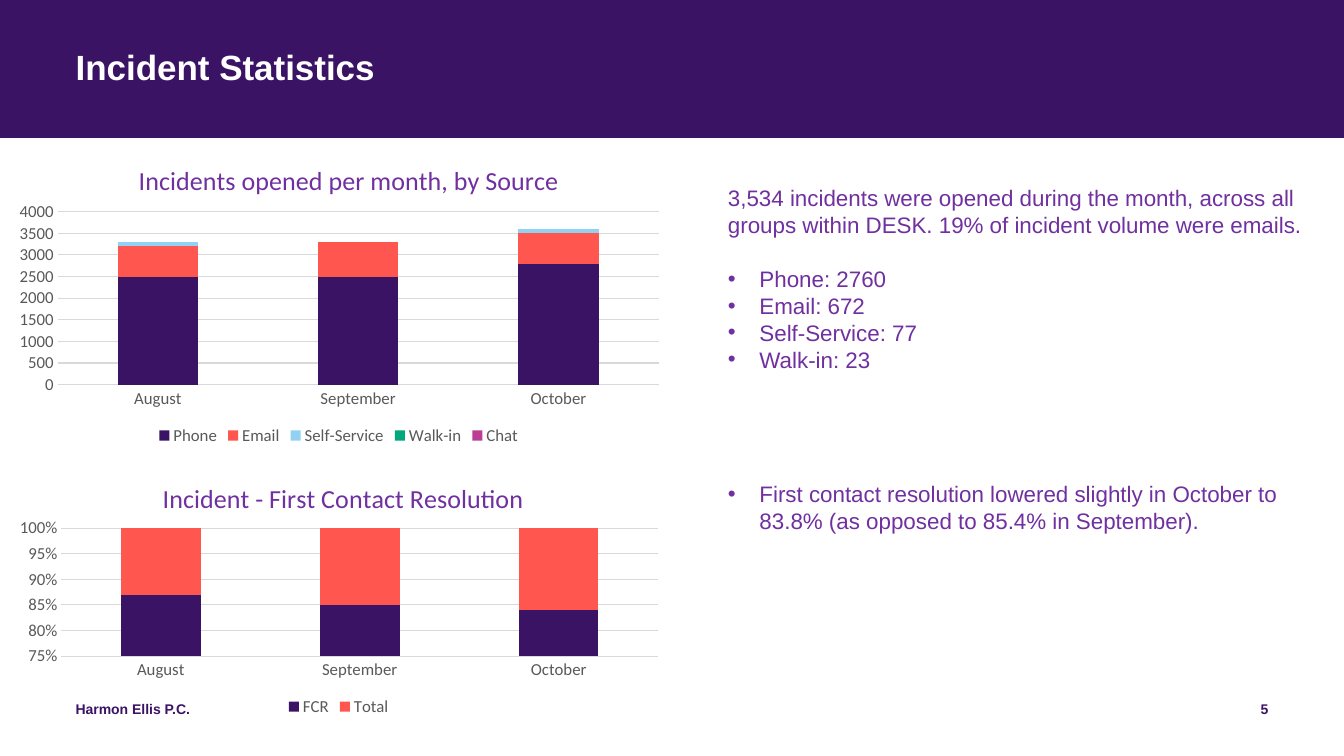
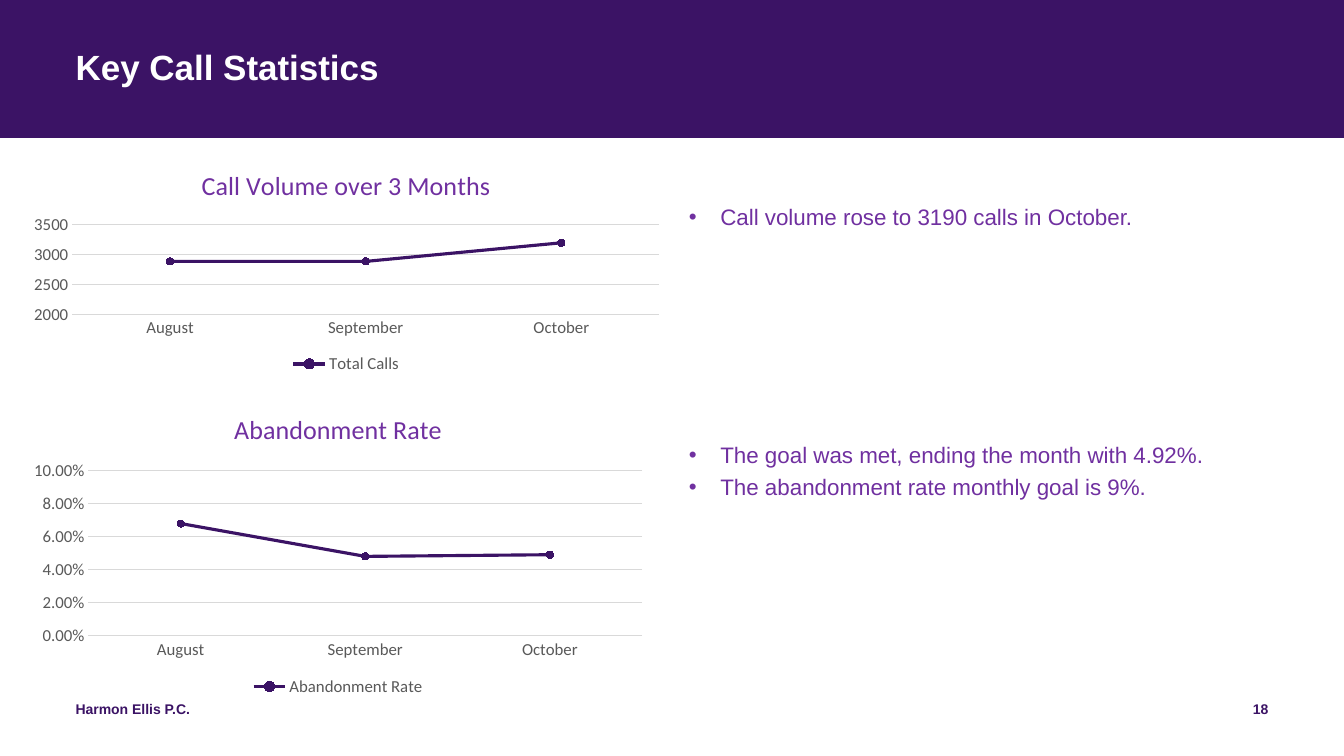
from dataclasses import dataclass

from lxml.etree import SubElement
from pptx import Presentation
from pptx.chart.data import CategoryChartData as ChartData
from pptx.dml.color import RGBColor
from pptx.enum.chart import XL_CHART_TYPE as ChartType
from pptx.enum.chart import XL_LEGEND_POSITION as LegendPosition
from pptx.enum.chart import XL_MARKER_STYLE as MarkerStyle
from pptx.enum.chart import XL_TICK_MARK as TickMark
from pptx.enum.shapes import MSO_SHAPE as Shape
from pptx.enum.text import PP_ALIGN as Align
from pptx.oxml import parse_xml
from pptx.oxml.ns import nsdecls, qn
from pptx.util import Pt


@dataclass(frozen=True)
class Theme:
    band: str = "3B1365"
    white: str = "FFFFFF"
    accent: str = "7030A0"
    label: str = "595959"
    grid: str = "D9D9D9"
    series: tuple = ("3B1365", "FF5750", "91D2F2", "00A87E", "BC3D95")
    text_font: str = "Arial"
    chart_font: str = "Calibri"
    title_size: float = 25
    body_size: float = 16
    footer_size: float = 10
    chart_title_size: float = 18.6
    label_size: float = 12


THEME = Theme()
MONTHS = ("August", "September", "October")
COMPANY = "Harmon Ellis P.C."
WIDTH, HEIGHT = 960, 540
MARGIN = 54
INDENT = 22.5
BODY_LINE = 19.2


def apply_format(target, values):
    for name, value in values.items():
        setattr(target, name, value)


def style_font(font, name, size, color, bold=False):
    apply_format(font, {"name": name, "size": Pt(size), "bold": bold})
    font.color.rgb = RGBColor.from_string(color)


def style_line(line, color, width):
    line.color.rgb = RGBColor.from_string(color)
    line.width = Pt(width)


def fill_solid(fill, color):
    fill.solid()
    fill.fore_color.rgb = RGBColor.from_string(color)


# Text
def add_bullet(paragraph):
    properties = paragraph._p.get_or_add_pPr()
    properties.set("marL", str(Pt(INDENT)))
    properties.set("indent", str(-Pt(INDENT)))
    SubElement(properties, qn("a:buFont")).set("typeface", THEME.text_font)
    SubElement(properties, qn("a:buChar")).set("char", "•")


def add_text(slide, box, items, size=THEME.body_size, color=THEME.accent,
             bold=False, **paragraph_format):
    """Each item is (text, has bullet, space before in points)."""
    frame = slide.shapes.add_textbox(*map(Pt, box)).text_frame
    apply_format(frame, {"word_wrap": True, "margin_left": 0, "margin_top": 0,
                         "margin_right": 0, "margin_bottom": 0})
    for index, (text, bullet, before) in enumerate(items):
        paragraph = frame.paragraphs[0] if index == 0 else frame.add_paragraph()
        apply_format(paragraph, paragraph_format | {"space_before": Pt(before)})
        run = paragraph.add_run()
        run.text = text
        style_font(run.font, THEME.text_font, size, color, bold)
        if bullet:
            add_bullet(paragraph)


# Band, title and footer shared by all slides
def add_base_slide(presentation, title, number):
    slide = presentation.slides.add_slide(presentation.slide_layouts[6])
    band = slide.shapes.add_shape(Shape.RECTANGLE, 0, 0, Pt(WIDTH), Pt(98.5))
    band.shadow.inherit = False
    fill_solid(band.fill, THEME.band)
    band.line.fill.background()
    add_text(slide, (MARGIN, 36, WIDTH - 2 * MARGIN, 58), [(title, False, 0)],
             THEME.title_size, THEME.white, True, line_spacing=0.9)
    footers = ((COMPANY, MARGIN, 324, Align.LEFT),
               (str(number), WIDTH - MARGIN - 216, 216, Align.RIGHT))
    for text, left, width, alignment in footers:
        add_text(slide, (left, 500.4, width, 28.8), [(text, False, 0)],
                 THEME.footer_size, THEME.band, True,
                 alignment=alignment, space_after=Pt(6))
    return slide


# Charts
def place_part(part, index, chart_box, part_box, target=""):
    """Set the layout of a chart part; part_box is in slide points."""
    left, top, width, height = chart_box
    x, y, *size = part_box
    fractions = {"x": (x - left) / width, "y": (y - top) / height}
    if size:
        fractions |= {"w": size[0] / width, "h": size[1] / height}
    values = "".join(f'<c:{key} val="{value:.4f}"/>' for key, value in fractions.items())
    for layout in part.findall(qn("c:layout")):
        part.remove(layout)
    part.insert(index, parse_xml(
        f'<c:layout {nsdecls("c")}><c:manualLayout>{target}'
        f'<c:xMode val="edge"/><c:yMode val="edge"/>{values}'
        '</c:manualLayout></c:layout>'))


def style_axes(chart, axis_format, number_format):
    for axis in (chart.category_axis, chart.value_axis):
        axis.major_tick_mark = axis.minor_tick_mark = TickMark.NONE
        style_font(axis.tick_labels.font, THEME.chart_font, THEME.label_size, THEME.label)
    chart.category_axis.has_major_gridlines = False
    style_line(chart.category_axis.format.line, THEME.grid, 0.75)
    value_axis = chart.value_axis
    value_axis.format.line.fill.background()
    value_axis.has_major_gridlines = True
    style_line(value_axis.major_gridlines.format.line, THEME.grid, 0.75)
    apply_format(value_axis, axis_format)
    apply_format(value_axis.tick_labels,
                 {"number_format": number_format, "number_format_is_linked": False})


def style_line_series(series, color):
    series.smooth = False
    style_line(series.format.line, color, 2.25)
    apply_format(series.marker, {"style": MarkerStyle.CIRCLE, "size": 5})
    fill_solid(series.marker.format.fill, color)
    style_line(series.marker.format.line, color, 0.75)


def add_month_chart(slide, kind, title, box, plot_box, series_values,
                    axis_format, number_format="General", title_place=None):
    data = ChartData(number_format=number_format)
    data.categories = MONTHS
    for name, values in series_values.items():
        data.add_series(name, values)
    chart = slide.shapes.add_chart(kind, *map(Pt, box), data).chart
    style_font(chart.font, THEME.chart_font, THEME.label_size, THEME.label)

    # Title and legend
    chart.has_title = True
    frame = chart.chart_title.text_frame
    frame.text = title
    style_font(frame.paragraphs[0].runs[0].font, THEME.chart_font,
               THEME.chart_title_size, THEME.accent)
    if title_place:
        place_part(chart.element.find(".//" + qn("c:title")), 1, box, title_place)
    chart.has_legend = True
    apply_format(chart.legend, {"position": LegendPosition.BOTTOM,
                                "include_in_layout": False})
    style_font(chart.legend.font, THEME.chart_font, THEME.label_size, THEME.label)

    # Axes, plot and series
    style_axes(chart, axis_format, number_format)
    place_part(chart.element.find(".//" + qn("c:plotArea")), 0, box, plot_box,
               '<c:layoutTarget val="inner"/>')
    plot = chart.plots[0]
    plot.vary_by_categories = False
    is_line = kind == ChartType.LINE_MARKERS
    if not is_line:
        apply_format(plot, {"gap_width": 150, "overlap": 100})
    for series, color in zip(plot.series, THEME.series):
        if is_line:
            style_line_series(series, color)
        else:
            fill_solid(series.format.fill, color)
            series.invert_if_negative = False


# Slides
def build_incidents(presentation):
    slide = add_base_slide(presentation, "Incident Statistics", 5)
    add_month_chart(
        slide, ChartType.COLUMN_STACKED, "Incidents opened per month, by Source",
        (4.3, 100.8, 475.2, 220.3), (41.2, 151.2, 429.3, 123.6),
        {"Phone": (2500, 2500, 2800), "Email": (700, 800, 700),
         "Self-Service": (100, 0, 100), "Walk-in": (0, 0, 0), "Chat": (0, 0, 0)},
        {"minimum_scale": 0, "maximum_scale": 4000, "major_unit": 500},
        title_place=(95.7, 112.4))
    add_text(slide, (520, 131.8, 428, 260), [
        ("3,534 incidents were opened during the month, across all groups within "
         "DESK. 19% of incident volume were emails.", False, 0),
        ("Phone: 2760", True, BODY_LINE),
        ("Email: 672", True, 0),
        ("Self-Service: 77", True, 0),
        ("Walk-in: 23", True, 0),
        ("First contact resolution lowered slightly in October to 83.8% "
         "(as opposed to 85.4% in September).", True, 4 * BODY_LINE),
    ], line_spacing=1.0)
    add_month_chart(
        slide, ChartType.COLUMN_STACKED_100, "Incident - First Contact Resolution",
        (4.3, 328.3, 475.2, 186.5), (43.8, 377.3, 426.4, 91.4),
        {"FCR": (87, 85, 84), "Total": (13, 15, 16)},
        {"minimum_scale": 0.75, "maximum_scale": 1, "major_unit": 0.05}, "0%",
        title_place=(112.9, 339.9))


def build_calls(presentation):
    slide = add_base_slide(presentation, "Key Call Statistics", 18)
    notes_format = {"line_spacing": 0.9, "space_after": Pt(6)}
    add_month_chart(
        slide, ChartType.LINE_MARKERS, "Call Volume over 3 Months",
        (15.1, 108.7, 464.4, 161.3), (51.6, 160.2, 419.3, 64.3),
        {"Total Calls": (2880, 2880, 3190)},
        {"minimum_scale": 2000, "maximum_scale": 3500, "major_unit": 500})
    add_text(slide, (492, 147, 444, 110),
             [("Call volume rose to 3190 calls in October.", True, 0)], **notes_format)
    add_month_chart(
        slide, ChartType.LINE_MARKERS, "Abandonment Rate",
        (15.1, 282.2, 452.9, 218.2), (63.1, 336.4, 395.7, 117.5),
        {"Abandonment Rate": (0.068, 0.048, 0.049)},
        {"minimum_scale": 0, "maximum_scale": 0.1, "major_unit": 0.02}, "0.00%")
    add_text(slide, (492, 317, 444, 170), [
        ("The goal was met, ending the month with 4.92%.", True, 0),
        ("The abandonment rate monthly goal is 9%.", True, 0),
    ], **notes_format)


def main():
    presentation = Presentation()
    apply_format(presentation, {"slide_width": Pt(WIDTH), "slide_height": Pt(HEIGHT)})
    build_incidents(presentation)
    build_calls(presentation)
    presentation.save("out.pptx")


if __name__ == "__main__":
    main()
